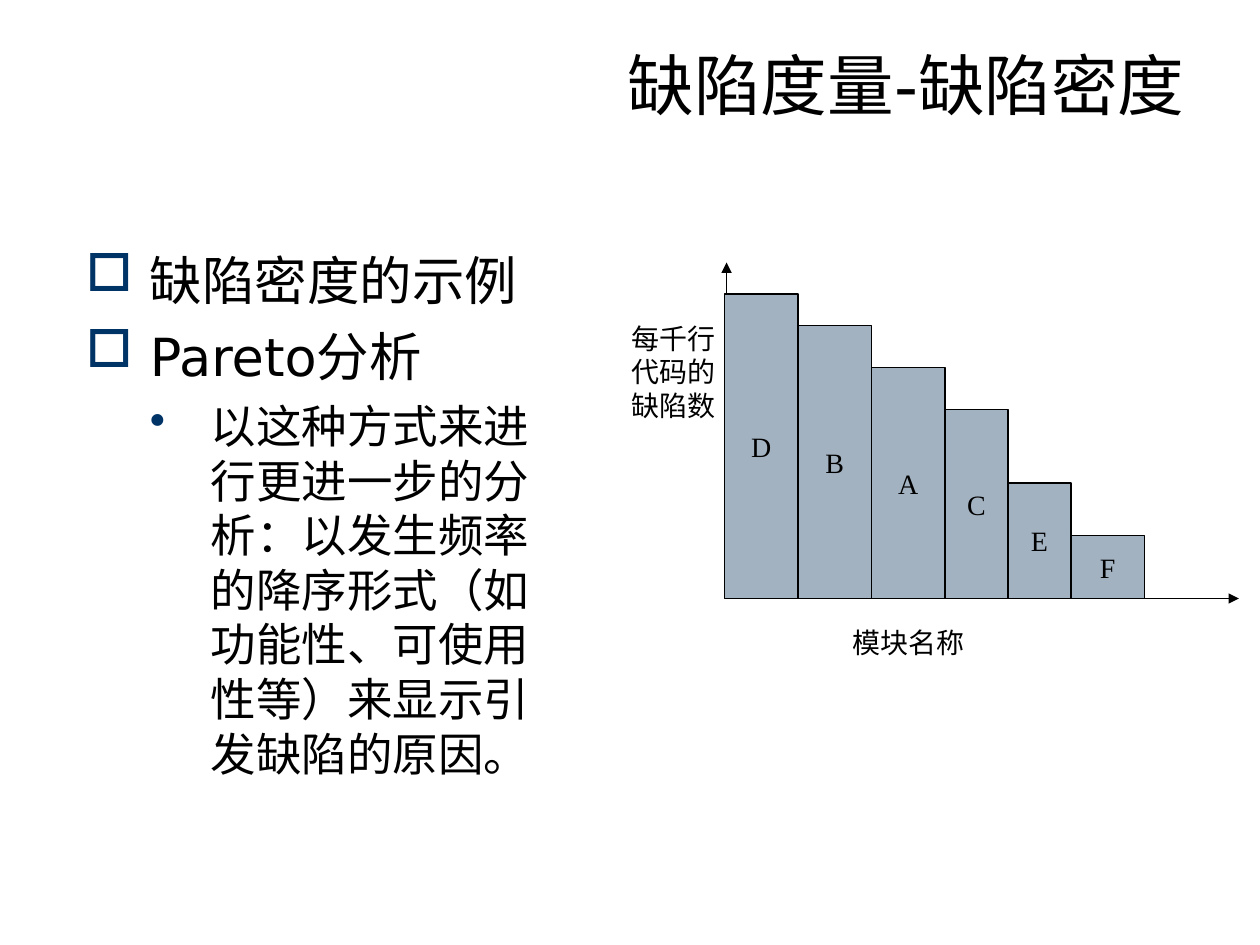
"""Build a slide with a Pareto diagram of defect density by module."""
from lxml.etree import SubElement
from pptx import Presentation
from pptx.dml.color import RGBColor
from pptx.enum.shapes import MSO_CONNECTOR, MSO_SHAPE
from pptx.enum.text import MSO_ANCHOR, MSO_AUTO_SIZE, PP_ALIGN
from pptx.oxml.ns import qn
from pptx.util import Pt

PX = 7620
BLACK, NAVY, GREY = "000000", "003366", "A3B2C1"
SANS, SERIF = "DejaVu Sans", "Times New Roman"

TITLE = "缺陷度量-缺陷密度"
BULLETS = [
    (0, "缺陷密度的示例"),
    (0, "Pareto分析"),
    (1, "以这种方式来进行更进一步的分析：以发生频率的降序形式"
        "（如功能性、可使用性等）来显示引发缺陷的原因。"),
]
LEVELS = [
    {"char": "□", "left": 61, "hang": 61, "size": 30, "before": 7.5},
    {"char": "•", "left": 119, "hang": 58, "size": 26, "before": 6.5},
]
BARS = [("D", 70, 290), ("B", 70, 260), ("A", 70, 220),
        ("C", 60, 180), ("E", 60, 110), ("F", 70, 60)]
BAR_LEFT, BASE = 690, 570
AXES = [(690, BASE, 1180, BASE), (692, BASE, 692, 250)]
LABELS = [("模块名称", (800, 590, 250, 44)),
          ("每千行代码的缺陷数", (590, 300, 120, 108))]


def px(*values):
    return [v * PX for v in values]


def color(value):
    return RGBColor.from_string(value)


def add_run(p, text, size, font):
    r = p.add_run()
    r.text = text
    r.font.size, r.font.name = Pt(size), font
    r.font.color.rgb = color(BLACK)


def add_text_box(s, box):
    sp = s.shapes.add_textbox(*px(*box))
    sp.text_frame.word_wrap = True
    return sp.text_frame


def set_bullet(p, char, left, hang):
    pPr = p._p.get_or_add_pPr()
    pPr.set("marL", str(left * PX))
    pPr.set("indent", str(-hang * PX))
    clr = SubElement(pPr, qn("a:buClr"))
    SubElement(clr, qn("a:srgbClr"), val=NAVY)
    SubElement(pPr, qn("a:buChar"), char=char)


def add_title(s):
    sp = s.shapes.title
    sp.left, sp.top, sp.width, sp.height = px(60, 36, 1080, 150)
    tf = sp.text_frame
    tf.vertical_anchor = MSO_ANCHOR.TOP
    p = tf.paragraphs[0]
    p.alignment = PP_ALIGN.RIGHT
    add_run(p, TITLE, 38, SANS)


def add_bullets(s):
    tf = add_text_box(s, (70, 230, 486, 560))
    for i, (level, text) in enumerate(BULLETS):
        style = LEVELS[level]
        p = tf.add_paragraph() if i else tf.paragraphs[0]
        p.level = level
        set_bullet(p, style["char"], style["left"], style["hang"])
        if i:
            p.space_before = Pt(style["before"])
        add_run(p, text, style["size"], SANS)


def add_axis(s, ends):
    line = s.shapes.add_connector(MSO_CONNECTOR.STRAIGHT, *px(*ends))
    line.line.color.rgb = color(BLACK)
    line.line.width = Pt(1)
    SubElement(line.line._get_or_add_ln(), qn("a:tailEnd"), type="triangle")
    SubElement(line._element.spPr, qn("a:effectLst"))


def add_bar(s, name, left, width, height):
    sp = s.shapes.add_shape(MSO_SHAPE.RECTANGLE,
                            *px(left, BASE - height, width, height))
    sp.shadow.inherit = False
    sp.fill.solid()
    sp.fill.fore_color.rgb = color(GREY)
    sp.line.color.rgb = color(BLACK)
    sp.line.width = Pt(1)
    tf = sp.text_frame
    tf.word_wrap = False
    tf.vertical_anchor = MSO_ANCHOR.MIDDLE
    p = tf.paragraphs[0]
    p.alignment = PP_ALIGN.CENTER
    add_run(p, name, 16, SERIF)


def main():
    prs = Presentation()
    prs.slide_width, prs.slide_height = px(1200, 900)
    s = prs.slides.add_slide(prs.slide_layouts[5])
    add_title(s)
    add_bullets(s)
    for ends in AXES:
        add_axis(s, ends)
    left = BAR_LEFT
    for name, width, height in BARS:
        add_bar(s, name, left, width, height)
        left += width
    for text, box in LABELS:
        tf = add_text_box(s, box)
        tf.auto_size = MSO_AUTO_SIZE.SHAPE_TO_FIT_TEXT
        add_run(tf.paragraphs[0], text, 16, SERIF)
    prs.save("out.pptx")


if __name__ == "__main__":
    main()
